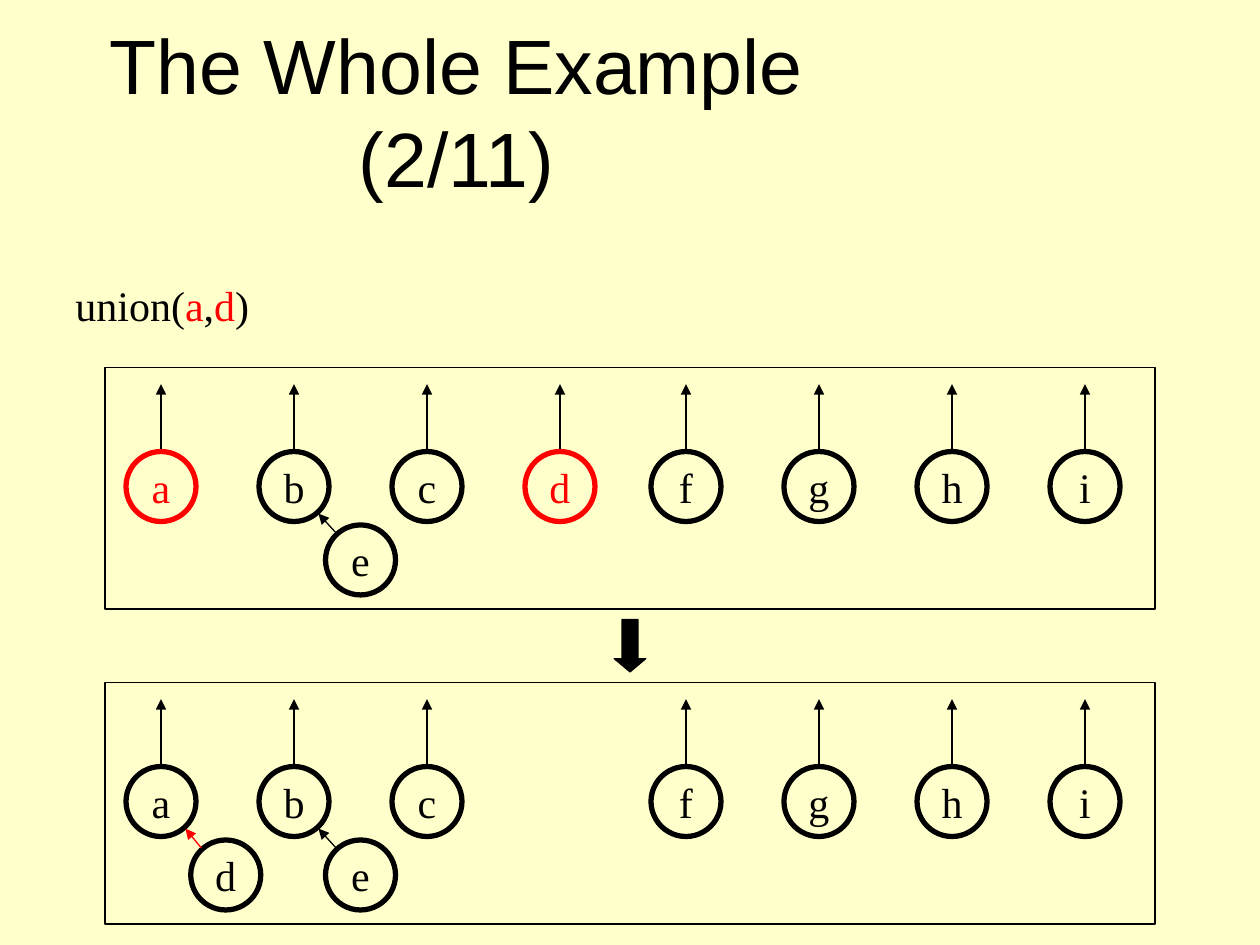
"""Build the union(a,d) step of a disjoint-set forest example."""
from lxml.etree import SubElement
from pptx import Presentation
from pptx.dml.color import RGBColor
from pptx.enum.shapes import MSO_CONNECTOR as Connector
from pptx.enum.shapes import MSO_SHAPE as Shape
from pptx.enum.text import MSO_ANCHOR as Anchor
from pptx.enum.text import MSO_AUTO_SIZE as AutoSize
from pptx.enum.text import PP_ALIGN as Align
from pptx.oxml.ns import qn
from pptx.util import Pt

COLORS = {"paper": "FFFFCC", "ink": "000000", "mark": "FF0000"}
SERIF = "Times New Roman"
NODE_SIZE = 40
NODE_LEFTS = {
    name: start + 76 * step
    for start, names in ((72, "abcd"), (372, "fghi"))
    for step, name in enumerate(names)
}


def color(name):
    return RGBColor.from_string(COLORS[name])


def write(frame, spans, font=SERIF, size=24, align=Align.LEFT,
          anchor=Anchor.TOP, wrap=False, fit=AutoSize.NONE):
    frame.word_wrap = wrap
    frame.auto_size = fit
    frame.vertical_anchor = anchor
    para = frame.paragraphs[0]
    para.alignment = align
    for text, tint in spans:
        span = para.add_run()
        span.text = text
        span.font.name = font
        span.font.size = Pt(size)
        span.font.color.rgb = color(tint)


def add_title(page, text):
    title = page.shapes.title
    title.left, title.top, title.width, title.height = map(Pt, (6, 18, 510, 90))
    write(title.text_frame, [(text, "ink")], font="Arial", size=44,
          align=Align.CENTER, anchor=Anchor.MIDDLE, wrap=True)


def add_label(page, spans, left, top, width, height):
    box = page.shapes.add_textbox(*map(Pt, (left, top, width, height)))
    write(box.text_frame, spans, fit=AutoSize.SHAPE_TO_FIT_TEXT)


def add_outline(page, kind, left, top, width, height, line="ink", weight=0.75, fill=None):
    shape = page.shapes.add_shape(kind, *map(Pt, (left, top, width, height)))
    shape.shadow.inherit = False
    if fill:
        shape.fill.solid()
        shape.fill.fore_color.rgb = color(fill)
    else:
        shape.fill.background()
    shape.line.color.rgb = color(line)
    shape.line.width = Pt(weight)
    return shape


def add_node(page, name, left, top, tint="ink"):
    node = add_outline(page, Shape.OVAL, left, top, NODE_SIZE, NODE_SIZE, tint, 3)
    write(node.text_frame, [(name, tint)], align=Align.CENTER, anchor=Anchor.MIDDLE)


def add_pointer(page, start, end, tint="ink"):
    pointer = page.shapes.add_connector(Connector.STRAIGHT, *map(Pt, start + end))
    pointer.line.color.rgb = color(tint)
    pointer.line.width = Pt(0.75)
    properties = pointer._element.spPr
    SubElement(properties.find(qn("a:ln")), qn("a:tailEnd"), type="triangle")
    SubElement(properties, qn("a:effectLst"))


def add_child(page, name, parent, row_top, shift, tint="ink"):
    parent_left = NODE_LEFTS[parent]
    left, top = parent_left + shift, row_top + 42
    add_node(page, name, left, top)
    add_pointer(page, (left + 6, top + 4.5), (parent_left + 34, row_top + 35.5), tint)


def add_forest(page, top, roots, children, marked=""):
    row_top = top + 48
    for name in roots:
        left = NODE_LEFTS[name]
        center = left + NODE_SIZE / 2
        add_node(page, name, left, row_top, "mark" if name in marked else "ink")
        add_pointer(page, (center, row_top - 1.5), (center, top + 9.5))
    for name, parent, shift, tint in children:
        add_child(page, name, parent, row_top, shift, tint)
    add_outline(page, Shape.RECTANGLE, 60, top, 600, 138)


def main():
    deck = Presentation()
    deck.slide_width, deck.slide_height = Pt(720), Pt(540)
    page = deck.slides.add_slide(deck.slide_layouts[5])
    page.background.fill.solid()
    page.background.fill.fore_color.rgb = color("paper")

    add_title(page, "The Whole Example (2/11)")
    call = [("union(", "ink"), ("a", "mark"), (",", "ink"), ("d", "mark"), (")", "ink")]
    add_label(page, call, 36, 156, 114, 36)

    e_under_b = ("e", "b", 38, "ink")
    d_under_a = ("d", "a", 37, "mark")
    add_forest(page, 210, "abcdfghi", [e_under_b], marked="ad")
    arrow = add_outline(page, Shape.DOWN_ARROW, 351, 354, 18, 30, fill="ink")
    arrow.adjustments[0], arrow.adjustments[1] = 0.5, 0.42
    add_forest(page, 390, "abcfghi", [d_under_a, e_under_b])
    deck.save("out.pptx")


if __name__ == "__main__":
    main()
